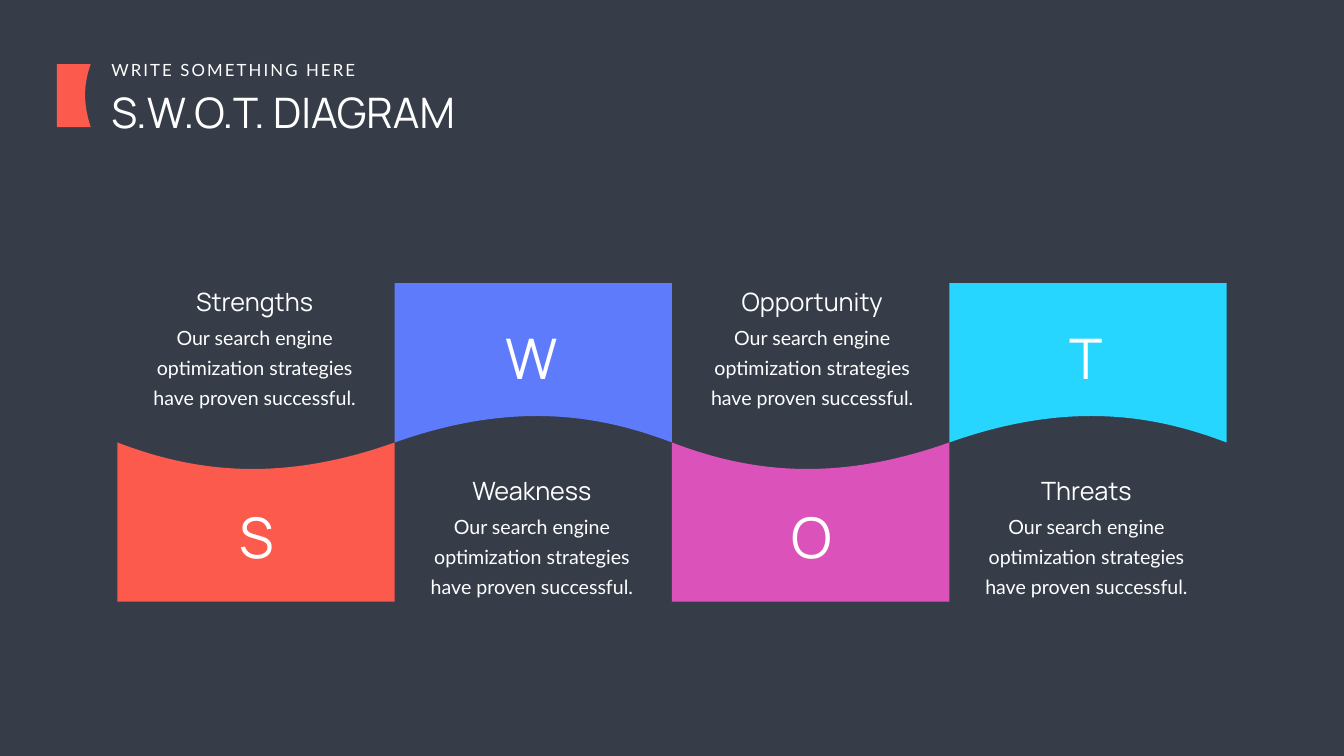
from lxml import etree
from pptx import Presentation
from pptx.dml.color import RGBColor
from pptx.enum.text import MSO_ANCHOR, MSO_AUTO_SIZE, PP_ALIGN
from pptx.oxml.ns import qn
from pptx.util import Inches, Pt

TOP = MSO_ANCHOR.TOP
NO_AUTOFIT = MSO_AUTO_SIZE.NONE
LEFT, CENTER = PP_ALIGN.LEFT, PP_ALIGN.CENTER
TITLE_ONLY = 5

BACKGROUND = RGBColor(0x36, 0x3D, 0x48)
WHITE = RGBColor(0xFF, 0xFF, 0xFF)
RED = RGBColor(0xFC, 0x5A, 0x4C)
BLUE = RGBColor(0x5E, 0x7B, 0xFB)
PINK = RGBColor(0xDC, 0x52, 0xBB)
CYAN = RGBColor(0x26, 0xD6, 0xFE)

HEADING_FONT, BODY_FONT = "Manrope", "Lato"
DESCRIPTION = "Our search engine optimization strategies have proven successful."

PANEL_LEFT, PANEL_WIDTH, PANEL_DEPTH = 2.33, 5.5, 3.16
MIDLINE = 8.78

# Unit rectangle as (along, depth); points 2 to 4 shape the curved bite.
SCOOPED_OUTLINE = [(0, 1), (0, 0), (0.27, 0.18), (0.58, 0.26), (1, 0), (1, 1)]

# letter, letter centre, letter width, heading, heading width, text centre, colour
QUADRANTS = [
    ("S", 5.1, 0.9, "Strengths", 2.73, 5.05, RED),
    ("W", 10.55, 2.07, "Weakness", 2.9, 10.55, BLUE),
    ("O", 16.11, 2.5, "Opportunity", 3.35, 16.11, PINK),
    ("T", 21.55, 2.07, "Threats", 2.18, 21.55, CYAN),
]


def bend_scoop(panel):
    """Join the three lines of the bite into one cubic curve."""
    bite = list(panel._element.iter(qn("a:lnTo")))[1:4]
    curve = etree.Element(qn("a:cubicBezTo"))
    bite[0].addprevious(curve)
    for line in bite:
        curve.append(line[0])
        line.getparent().remove(line)


def add_scooped_panel(slide, place, color):
    """Draw the scooped outline; place maps (along, depth) to slide inches."""
    start, *rest = [tuple(Inches(length) for length in place(along, depth))
                    for along, depth in SCOOPED_OUTLINE]
    builder = slide.shapes.build_freeform(*start)
    builder.add_line_segments(rest, close=True)
    panel = builder.convert_to_shape()
    bend_scoop(panel)
    panel.shadow.inherit = False
    panel.fill.solid()
    panel.fill.fore_color.rgb = color
    panel.line.fill.background()


def format_text(shape, text, size, font_name, align=CENTER, wrap=True):
    frame = shape.text_frame
    frame.text = text
    frame.word_wrap = wrap
    frame.auto_size = NO_AUTOFIT
    frame.vertical_anchor = TOP
    paragraph = frame.paragraphs[0]
    paragraph.alignment = align
    font = paragraph.runs[0].font
    font.size = Pt(size)
    font.name = font_name
    font.color.rgb = WHITE
    return paragraph


def add_centered_text(slide, text, center, top, width, height, size, font_name,
                      wrap=True):
    box = slide.shapes.add_textbox(Inches(center - width / 2), Inches(top),
                                   Inches(width), Inches(height))
    return format_text(box, text, size, font_name, wrap=wrap)


def add_header(slide):
    title = slide.shapes.title
    title.left, title.top = Inches(2.11), Inches(1.67)
    title.width, title.height = Inches(16.06), Inches(1.11)
    format_text(title, "S.W.O.T. DIAGRAM", 60, HEADING_FONT, LEFT)

    kicker = slide.shapes.add_textbox(Inches(2.11), Inches(1.13),
                                      Inches(5.14), Inches(0.5))
    paragraph = format_text(kicker, "WRITE SOMETHING HERE", 24, BODY_FONT, LEFT,
                            wrap=False)
    paragraph.runs[0].font._element.set("spc", "300")

    add_scooped_panel(
        slide, lambda along, depth: (1.8 - 0.67 * depth, 1.27 + 1.25 * along), RED)


def add_quadrant_panel(slide, index, color):
    """Even panels hang below the midline; odd ones are turned half round above it."""
    direction = 1 if index % 2 == 0 else -1
    origin = PANEL_LEFT + PANEL_WIDTH * (index + index % 2)
    add_scooped_panel(
        slide,
        lambda along, depth: (origin + direction * PANEL_WIDTH * along,
                              MIDLINE + direction * PANEL_DEPTH * depth),
        color)


def add_quadrant_text(slide, index, letter, letter_center, letter_width, heading,
                      heading_width, center):
    text_above = index % 2 == 0
    letter_top = 9.92 if text_above else 6.36
    heading_top = 5.63 if text_above else 9.38
    add_centered_text(slide, letter, letter_center, letter_top, letter_width, 1.49,
                      80, HEADING_FONT)
    add_centered_text(slide, heading, center, heading_top, heading_width, 0.73, 36,
                      HEADING_FONT, wrap=False)
    description = add_centered_text(slide, DESCRIPTION, center, heading_top + 0.66,
                                    4.35, 1.91, 28, BODY_FONT)
    description.line_spacing = Pt(43)


def main():
    presentation = Presentation()
    presentation.slide_width = Inches(26.66)
    presentation.slide_height = Inches(15)
    slide = presentation.slides.add_slide(presentation.slide_layouts[TITLE_ONLY])
    slide.background.fill.solid()
    slide.background.fill.fore_color.rgb = BACKGROUND

    add_header(slide)
    for index, (*_, color) in enumerate(QUADRANTS):
        add_quadrant_panel(slide, index, color)
    for index, (*texts, _) in enumerate(QUADRANTS):
        add_quadrant_text(slide, index, *texts)

    presentation.save("out.pptx")


if __name__ == "__main__":
    main()
